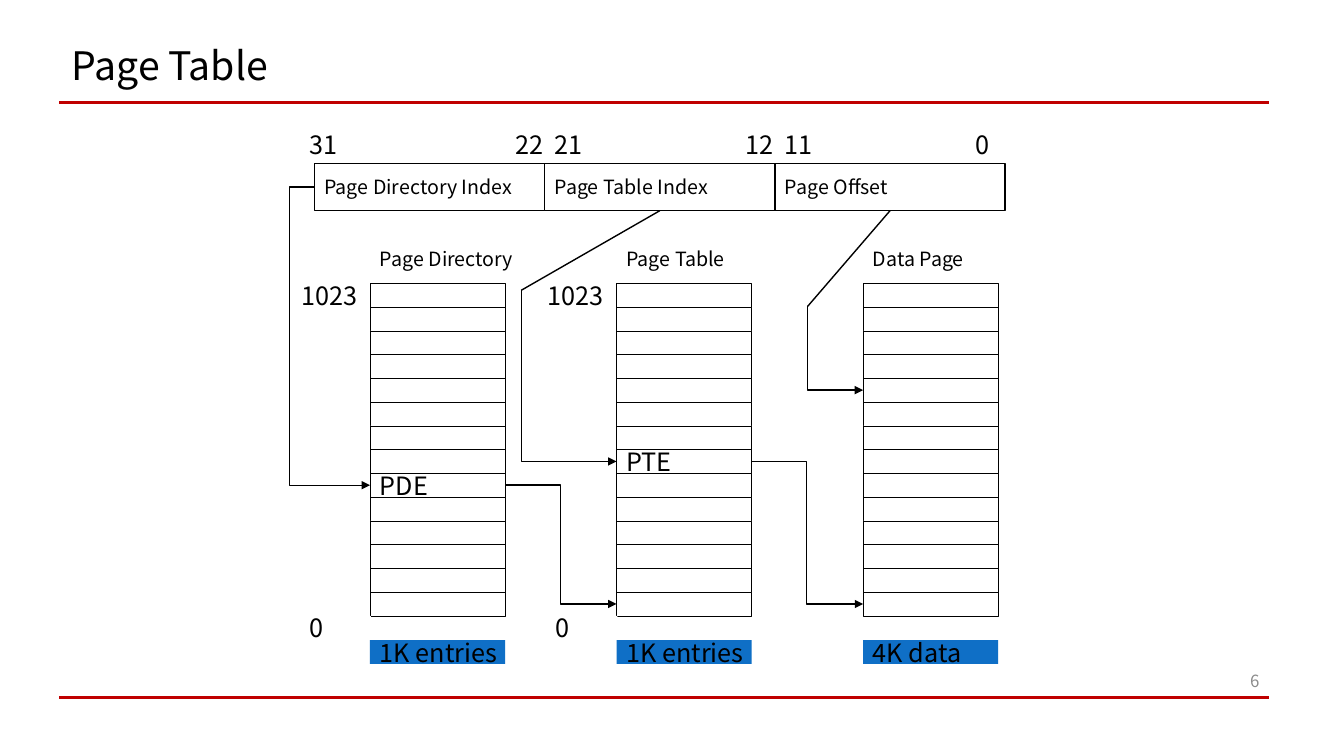
from lxml import etree
from pptx import Presentation
from pptx.dml.color import RGBColor
from pptx.enum.shapes import MSO_CONNECTOR as LINK, MSO_SHAPE
from pptx.enum.text import MSO_ANCHOR, PP_ALIGN
from pptx.oxml.ns import qn
from pptx.util import Inches, Pt

BLACK = RGBColor(0x00, 0x00, 0x00)
WHITE = RGBColor(0xFF, 0xFF, 0xFF)
RED = RGBColor(0xC0, 0x00, 0x00)
BLUE = RGBColor(0x0F, 0x6F, 0xC6)
GREY = RGBColor(0x8C, 0x8C, 0x8C)
FONT = "Noto Sans CJK KR"

TITLE = "Page Table"
PAGE_NUMBER = "6"
FIELDS = [
    ("Page Directory Index", "31", "22"),
    ("Page Table Index", "21", "12"),
    ("Page Offset", "11", "0"),
]
TABLES = [
    {"heading": "Page Directory", "size": "1K entries", "entries": {8: "PDE"}, "bounds": ("1023", "0")},
    {"heading": "Page Table", "size": "1K entries", "entries": {7: "PTE"}, "bounds": ("1023", "0")},
    {"heading": "Data Page", "size": "4K data", "entries": {}, "bounds": None},
]
PDE_ROW, PTE_ROW, DATA_ROW, LAST_ROW = 8, 7, 4, 13

ROWS = 14
TABLE_LEFT, TABLE_TOP, TABLE_BOTTOM = 3.67, 2.81, 6.11
TABLE_WIDTH, TABLE_PITCH = 1.34, (8.56 - 3.67) / 2
ROW_HEIGHT = (TABLE_BOTTOM - TABLE_TOP) / ROWS
FIELD_LEFT, FIELD_TOP, FIELD_HEIGHT = 3.12, 1.62, 0.47
FIELD_WIDTH = (9.97 - FIELD_LEFT) / len(FIELDS)
BIT_TOP, BIT_WIDTH = 1.31, 0.39

prs = Presentation()
prs.slide_width, prs.slide_height = Inches(13.33), Inches(7.5)
slide = prs.slides.add_slide(prs.slide_layouts[5])


def write(frame, text, size, color=BLACK, wrap=False, align=PP_ALIGN.LEFT):
    for key, value in {"word_wrap": wrap, "vertical_anchor": MSO_ANCHOR.MIDDLE}.items():
        setattr(frame, key, value)
    paragraph = frame.paragraphs[0]
    paragraph.alignment = align
    run = paragraph.add_run()
    run.text = text
    run.font.color.rgb = color
    for key, value in {"name": FONT, "size": Pt(size)}.items():
        setattr(run.font, key, value)
    return paragraph


def box(left, top, width, height, text="", size=18, fill=WHITE, border=None, parent=slide):
    rect = parent.shapes.add_shape(
        MSO_SHAPE.RECTANGLE, *map(Inches, (left, top, width, height)))
    rect.shadow.inherit = False
    rect.fill.solid()
    rect.fill.fore_color.rgb = fill
    if border:
        rect.line.color.rgb = BLACK
        rect.line.width = Pt(border)
    else:
        rect.line.fill.background()
    if text:
        write(rect.text_frame, text, size)


def link(start, end, bend_x=None, arrow=False, color=BLACK, width=1):
    kind = LINK.STRAIGHT if bend_x is None else LINK.ELBOW
    line = slide.shapes.add_connector(kind, *map(Inches, (*start, *end)))
    line.line.color.rgb = color
    line.line.width = Pt(width)
    properties = line._element.spPr
    etree.SubElement(properties, qn("a:effectLst"))
    if bend_x is not None:
        ratio = round((bend_x - start[0]) / (end[0] - start[0]) * 100000)
        guides = properties.find(qn("a:prstGeom")).get_or_add_avLst()
        etree.SubElement(guides, qn("a:gd"), name="adj1", fmla=f"val {ratio}")
    if arrow:
        etree.SubElement(line.line._get_or_add_ln(), qn("a:tailEnd"), type="triangle")


def table_left(table):
    return TABLE_LEFT + table * TABLE_PITCH


def entry_side(table, row, right=False):
    return table_left(table) + right * TABLE_WIDTH, TABLE_TOP + (row + 0.5) * ROW_HEIGHT


def field_bottom(field):
    return FIELD_LEFT + (field + 0.5) * FIELD_WIDTH, FIELD_TOP + FIELD_HEIGHT


title = slide.shapes.title
for key, value in {"left": 0.61, "top": 0.41, "width": 11.5, "height": 0.53}.items():
    setattr(title, key, Inches(value))
write(title.text_frame, TITLE, 28, wrap=True).line_spacing = 0.9

for rule_y in (1.02, 6.92):
    link((0.59, rule_y), (12.59, rule_y), color=RED, width=2.25)

number = slide.shapes.add_textbox(*map(Inches, (12.1, 6.55, 0.49, 0.4)))
write(number.text_frame, PAGE_NUMBER, 12, GREY, wrap=True, align=PP_ALIGN.RIGHT)

for index, (name, high_bit, low_bit) in enumerate(FIELDS):
    left = FIELD_LEFT + index * FIELD_WIDTH
    box(left, FIELD_TOP, FIELD_WIDTH, FIELD_HEIGHT, name, 14, border=1)
    high_left = left if index else left - 0.15
    box(high_left, BIT_TOP, BIT_WIDTH, ROW_HEIGHT, high_bit)
    box(left + FIELD_WIDTH - BIT_WIDTH, BIT_TOP, BIT_WIDTH, ROW_HEIGHT, low_bit)

for index, table in enumerate(TABLES):
    left = table_left(index)
    rows = slide.shapes.add_group_shape()
    for row in range(ROWS):
        box(left, TABLE_TOP + row * ROW_HEIGHT, TABLE_WIDTH, ROW_HEIGHT,
            table["entries"].get(row, ""), border=0.25, parent=rows)
    box(left, 2.41, TABLE_WIDTH, 0.31, table["heading"], 14)
    box(left, 6.35, TABLE_WIDTH, ROW_HEIGHT, table["size"], fill=BLUE)
    if table["bounds"]:
        last, first = table["bounds"]
        box(left - 0.78, TABLE_TOP, 0.71, ROW_HEIGHT, last)
        box(left - 0.7, TABLE_BOTTOM, 0.71, ROW_HEIGHT, first)

link((FIELD_LEFT, FIELD_TOP + FIELD_HEIGHT / 2), entry_side(0, PDE_ROW), 2.87, arrow=True)
for field, corner, row in [(1, (5.17, 2.88), PTE_ROW), (2, (8.01, 3.04), DATA_ROW)]:
    link(field_bottom(field), corner)
    link(corner, entry_side(field, row), corner[0], arrow=True)
for table, row, bend_x in [(0, PDE_ROW, 5.56), (1, PTE_ROW, 8)]:
    link(entry_side(table, row, right=True), entry_side(table + 1, LAST_ROW), bend_x, arrow=True)

prs.save("out.pptx")
